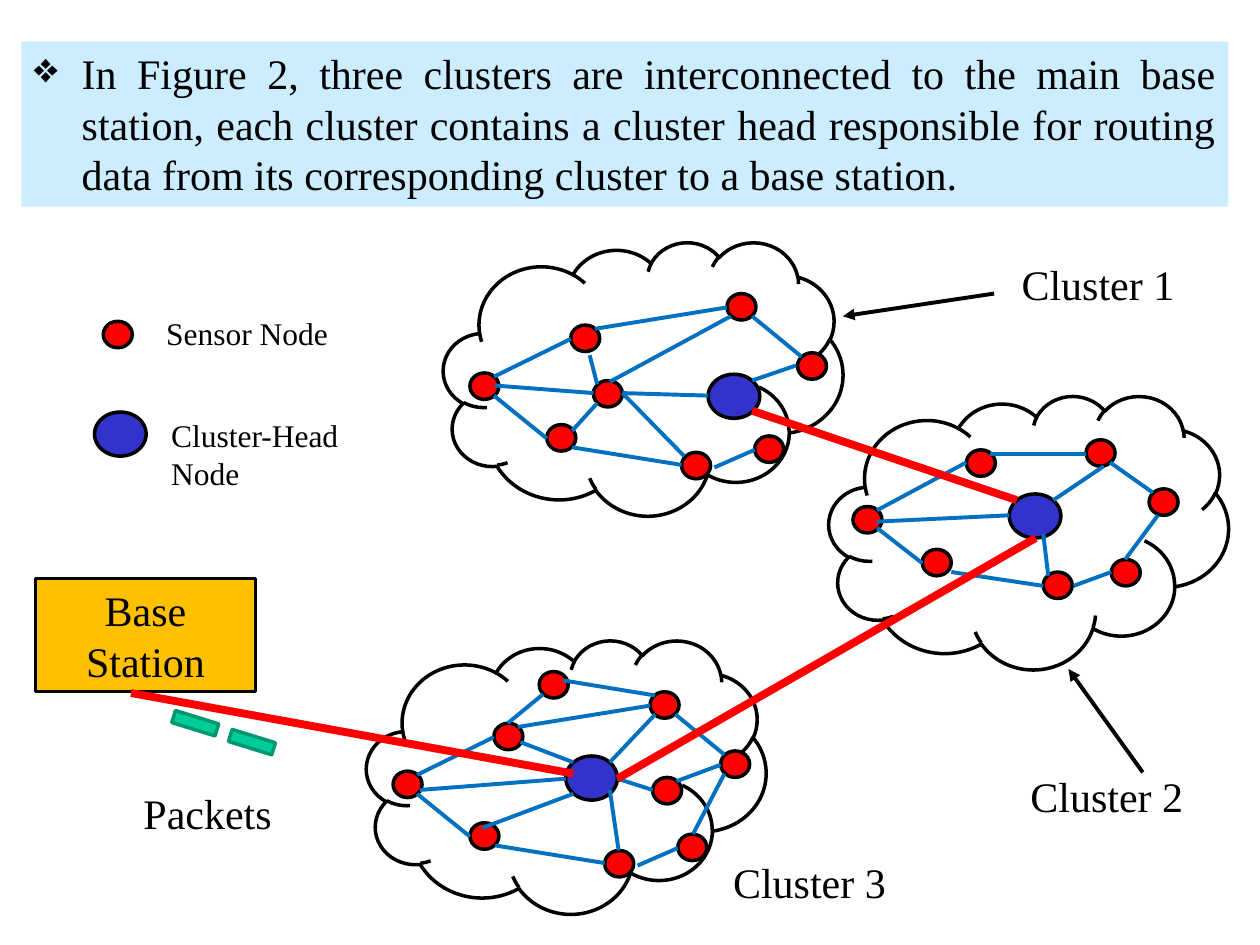
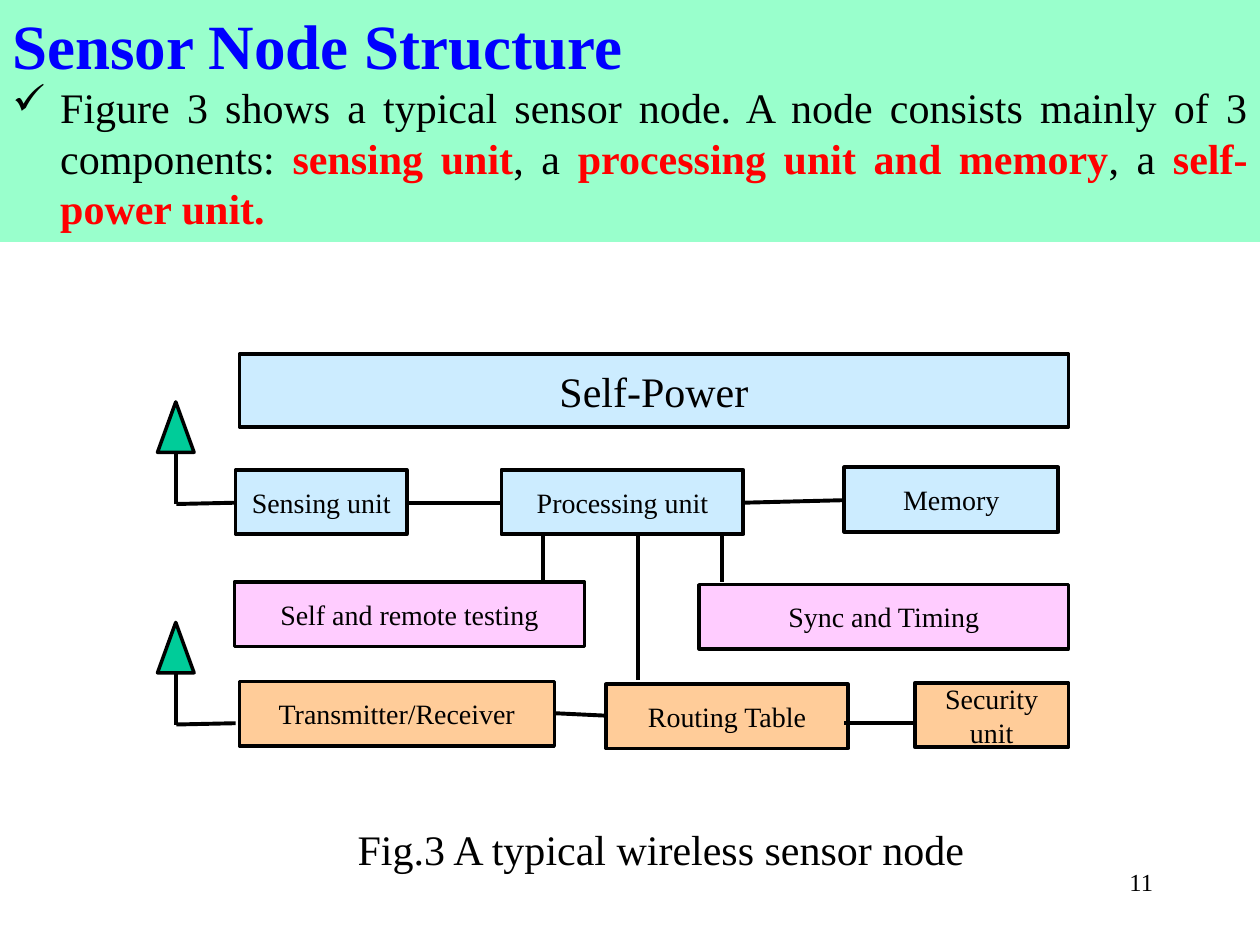
from dataclasses import dataclass
from typing import NamedTuple, Optional

from lxml.etree import SubElement
from pptx import Presentation
from pptx.dml.color import RGBColor
from pptx.enum.shapes import MSO_CONNECTOR, MSO_SHAPE as Preset
from pptx.enum.text import MSO_ANCHOR as Anchor, PP_ALIGN as Align
from pptx.oxml.ns import qn
from pptx.util import Inches, Pt

FONT = "Times New Roman"
BLACK = RGBColor(0x00, 0x00, 0x00)
RED = RGBColor(0xFF, 0x00, 0x00)
HEAD_BLUE = RGBColor(0x33, 0x33, 0xCC)
LINK_BLUE = RGBColor(0x00, 0x70, 0xC0)
TITLE_BLUE = RGBColor(0x00, 0x00, 0xFF)
PALE_BLUE = RGBColor(0xCC, 0xEC, 0xFF)
MINT = RGBColor(0x99, 0xFF, 0xCC)
GREEN = RGBColor(0x00, 0xCC, 0x99)
DARK_GREEN = RGBColor(0x00, 0x97, 0x71)
GOLD = RGBColor(0xFF, 0xC0, 0x00)
PINK = RGBColor(0xFF, 0xCC, 0xFF)
PEACH = RGBColor(0xFF, 0xCC, 0x99)

BODY_SIZE = 24
OUTLINE = 2
WIRE = 2.25
ROUTE = 4.5
BULLET_INDENT = 0.38
SENSOR_SIZE = (0.23, 0.21)
HEAD_SIZE = (0.41, 0.35)
CLOUD_SIZE = (3.17, 2.17)
BLOCK_HEIGHT = 0.51


class Box(NamedTuple):
    left: float
    top: float
    width: float
    height: float


class Link(NamedTuple):
    x1: float
    y1: float
    x2: float
    y2: float


class Span(NamedTuple):
    text: str
    size: float = BODY_SIZE
    color: RGBColor = BLACK
    bold: bool = False


class Para(NamedTuple):
    spans: tuple[Span, ...]
    align: Align = Align.LEFT
    bullet: str = ""


class Label(NamedTuple):
    text: str
    box: Box
    size: float = BODY_SIZE


class Block(NamedTuple):
    text: str
    left: float
    top: float
    width: float
    fill: RGBColor
    height: float = BLOCK_HEIGHT
    size: float = 16
    outline: float = OUTLINE


@dataclass
class Cluster:
    """Node corners and link ends are measured from the cloud's top left."""
    left: float
    top: float
    head: tuple[float, float]
    sensors: list[tuple[float, float]]
    links: list[Link]


# Shared drawing helpers
def write(shape, paras: list[Para], anchor: Anchor = Anchor.TOP, wrap: bool = True) -> None:
    frame = shape.text_frame
    frame.word_wrap = wrap
    frame.vertical_anchor = anchor
    for index, para in enumerate(paras):
        line = frame.add_paragraph() if index else frame.paragraphs[0]
        line.alignment = para.align
        if para.bullet:
            props = line._p.get_or_add_pPr()
            props.set("marL", str(Inches(BULLET_INDENT)))
            props.set("indent", str(-Inches(BULLET_INDENT)))
            SubElement(props, qn("a:buChar")).set("char", para.bullet)
        for span in para.spans:
            run = line.add_run()
            run.text = span.text
            run.font.name = FONT
            run.font.size = Pt(span.size)
            run.font.bold = span.bold
            run.font.color.rgb = span.color


def add_figure(slide, preset: Preset, box: Box, fill: Optional[RGBColor] = None,
               line: Optional[RGBColor] = BLACK, width: float = OUTLINE):
    shape = slide.shapes.add_shape(preset, *map(Inches, box))
    shape.shadow.inherit = False
    if fill is None:
        shape.fill.background()
    else:
        shape.fill.solid()
        shape.fill.fore_color.rgb = fill
    if line is None:
        shape.line.fill.background()
    else:
        shape.line.color.rgb = line
        shape.line.width = Pt(width)
    return shape


def add_link(slide, link: Link, color: RGBColor = BLACK, width: float = WIRE,
             arrow: bool = False) -> None:
    wire = slide.shapes.add_connector(MSO_CONNECTOR.STRAIGHT, *map(Inches, link))
    wire.line.color.rgb = color
    wire.line.width = Pt(width)
    if arrow:
        SubElement(wire.line._get_or_add_ln(), qn("a:tailEnd")).set("type", "triangle")
    SubElement(wire._element.spPr, qn("a:effectLst"))


def add_label(slide, label: Label, align: Align = Align.LEFT, wrap: bool = True) -> None:
    text_box = slide.shapes.add_textbox(*map(Inches, label.box))
    write(text_box, [Para((Span(label.text, label.size),), align)], wrap=wrap)


def add_band(slide, box: Box, fill: RGBColor, paras: list[Para]) -> None:
    write(add_figure(slide, Preset.RECTANGLE, box, fill, line=None), paras)


def add_block(slide, block: Block) -> None:
    box = Box(block.left, block.top, block.width, block.height)
    shape = add_figure(slide, Preset.RECTANGLE, box, block.fill, width=block.outline)
    write(shape, [Para((Span(block.text, block.size),), Align.CENTER)], Anchor.MIDDLE)


def add_sensor(slide, left: float, top: float) -> None:
    add_figure(slide, Preset.OVAL, Box(left, top, *SENSOR_SIZE), RED)


def add_head(slide, left: float, top: float) -> None:
    add_figure(slide, Preset.OVAL, Box(left, top, *HEAD_SIZE), HEAD_BLUE)


def add_cluster(slide, cluster: Cluster) -> None:
    x, y = cluster.left, cluster.top
    add_figure(slide, Preset.CLOUD, Box(x, y, *CLOUD_SIZE))
    for dx, dy in cluster.sensors:
        add_sensor(slide, x + dx, y + dy)
    add_head(slide, x + cluster.head[0], y + cluster.head[1])
    for link in cluster.links:
        add_link(slide, Link(x + link.x1, y + link.y1, x + link.x2, y + link.y2), LINK_BLUE)


# Sensors and links that clusters 1 and 3 have in common
RING_SENSORS = [(2.25, 0.41), (1.01, 0.66), (0.82, 1.45), (1.89, 1.67),
                (2.81, 0.88), (0.21, 1.04), (2.47, 1.54)]
RING_LINKS = [Link(1.2, 0.69, 2.25, 0.52), Link(0.4, 1.07, 1.01, 0.77),
              Link(0.4, 1.22, 0.82, 1.56), Link(1.02, 1.63, 1.89, 1.77),
              Link(2.45, 0.59, 2.84, 0.91), Link(2.15, 1.79, 2.47, 1.65)]

CLUSTER_1 = Cluster(
    3.52, 1.92, (2.1, 1.05), RING_SENSORS + [(1.19, 1.1)],
    RING_LINKS + [
        Link(1.42, 1.2, 1.91, 1.7), Link(2.8, 0.98, 2.45, 1.1),
        Link(1.42, 1.2, 2.1, 1.22), Link(1.32, 1.11, 2.28, 0.59),
        Link(0.41, 1.14, 1.19, 1.2), Link(1.02, 1.5, 1.22, 1.28),
        Link(1.22, 1.13, 1.16, 0.9)])
CLUSTER_2 = Cluster(
    6.58, 3.14, (1.43, 0.78),
    [(2.04, 0.35), (1.09, 0.43), (0.74, 1.22), (1.7, 1.4),
     (2.54, 0.74), (0.19, 0.88), (2.24, 1.3)],
    [Link(1.28, 0.46, 2.04, 0.46), Link(0.38, 0.91, 1.09, 0.53),
     Link(0.38, 1.05, 0.74, 1.33), Link(0.97, 1.4, 1.7, 1.51),
     Link(1.7, 1.1, 1.74, 1.43), Link(2.18, 0.56, 1.78, 0.83),
     Link(2.23, 0.53, 2.57, 0.77), Link(1.94, 1.51, 2.24, 1.4),
     Link(2.35, 1.3, 2.61, 0.95), Link(0.38, 1, 1.43, 0.95)])
CLUSTER_3 = Cluster(
    2.91, 5.08, (1.58, 0.92), RING_SENSORS + [(1.37, 0.25), (2.27, 1.09)],
    RING_LINKS + [
        Link(1.93, 1.19, 2, 1.67), Link(2.29, 0.59, 1.93, 0.97),
        Link(2.59, 1.54, 2.84, 1.06), Link(0.42, 1.19, 1.58, 1.1),
        Link(0.92, 1.49, 1.64, 1.22), Link(1.99, 1.1, 2.27, 1.19),
        Link(2.46, 1.12, 2.81, 0.99), Link(1.56, 0.32, 2.29, 0.44),
        Link(1.4, 0.43, 1.12, 0.66), Link(1.22, 0.81, 1.64, 0.97)])

ROUTES = [Link(5.97, 3.26, 8.07, 3.97), Link(4.9, 6.18, 8.22, 4.27),
          Link(1.04, 5.5, 4.55, 6.14)]
POINTERS = [Link(7.89, 2.33, 6.69, 2.51), Link(9.07, 6.13, 8.48, 5.31)]
NETWORK_LABELS = [
    Label("Packets", Box(1.04, 6.2, 1.29, 0.5)),
    Label("Cluster 1", Box(8.01, 2, 1.74, 0.5)),
    Label("Cluster 2", Box(8.08, 6.07, 1.42, 0.5)),
    Label("Cluster 3", Box(5.72, 6.75, 1.6, 0.5)),
    Label("Sensor Node", Box(1.22, 2.44, 1.64, 0.4), 18),
    Label("Cluster-Head Node", Box(1.26, 3.25, 1.64, 0.71), 18),
]

NODE_BLOCKS = [
    Block("Self-Power", 1.9, 2.81, 6.58, PALE_BLUE, height=0.58, size=BODY_SIZE),
    Block("Sensing unit", 1.87, 3.73, 1.36, PALE_BLUE),
    Block("Processing unit", 3.98, 3.73, 1.92, PALE_BLUE, outline=WIRE),
    Block("Memory", 6.7, 3.71, 1.7, PALE_BLUE, outline=WIRE),
    Block("Self and remote testing", 1.86, 4.62, 2.78, PINK),
    Block("Sync and Timing", 5.55, 4.64, 2.93, PINK),
    Block("Transmitter/Receiver", 1.9, 5.41, 2.5, PEACH),
    Block("Routing Table", 4.81, 5.43, 1.92, PEACH),
    Block("Security unit", 7.26, 5.42, 1.22, PEACH),
]
NODE_WIRES = [
    Link(3.23, 3.99, 3.98, 3.99), Link(5.9, 3.99, 6.7, 3.97),
    Link(4.31, 4.25, 4.31, 4.62), Link(5.73, 4.25, 5.73, 4.62),
    Link(5.06, 4.25, 5.06, 5.4), Link(4.39, 5.66, 4.81, 5.68),
    Link(6.7, 5.74, 7.26, 5.74),
]
ANTENNA_TOPS = (3.19, 4.94)


def build_network(slide) -> None:
    add_band(slide, Box(0.17, 0.33, 9.58, 1.31), PALE_BLUE, [Para((Span(
        "In Figure 2, three clusters are interconnected to the main base station, "
        "each cluster contains a cluster head responsible for routing data from "
        "its corresponding cluster to a base station."),), Align.JUSTIFY, "❖")])
    for cluster in (CLUSTER_2, CLUSTER_3, CLUSTER_1):
        add_cluster(slide, cluster)
    # Base station, routes and packets
    add_block(slide, Block("Base Station", 0.28, 4.59, 1.75, GOLD, height=0.9, size=BODY_SIZE))
    for route in ROUTES:
        add_link(slide, route, RED, ROUTE)
    for left, top in ((1.37, 5.69), (1.82, 5.84)):
        packet = add_figure(slide, Preset.RECTANGLE, Box(left, top, 0.36, 0.1), GREEN, DARK_GREEN)
        packet.rotation = 17.2
    # Legend and labels
    add_sensor(slide, 0.82, 2.55)
    add_head(slide, 0.75, 3.27)
    for pointer in POINTERS:
        add_link(slide, pointer, arrow=True)
    for label in NETWORK_LABELS:
        add_label(slide, label)


def build_node_structure(slide) -> None:
    add_band(slide, Box(0, 0, 10, 1.92), MINT, [
        Para((Span("Sensor Node Structure", 36, TITLE_BLUE, True),), Align.JUSTIFY),
        Para((Span("Figure 3 shows a typical sensor node. A node consists mainly "
                   "of 3 components: "),
              Span("sensing unit", color=RED, bold=True), Span(", a "),
              Span("processing unit and memory", color=RED, bold=True), Span(", a "),
              Span("self-power unit.", color=RED, bold=True)), Align.JUSTIFY, "✓")])
    for block in NODE_BLOCKS:
        add_block(slide, block)
    # Antennas: triangle, mast and feed line
    for top in ANTENNA_TOPS:
        add_link(slide, Link(1.87, top + 0.8, 1.4, top + 0.81))
        add_link(slide, Link(1.4, top + 0.81, 1.4, top + 0.41))
        add_figure(slide, Preset.ISOSCELES_TRIANGLE, Box(1.25, top, 0.29, 0.4), GREEN)
    for wire in NODE_WIRES:
        add_link(slide, wire)
    # Caption and page number
    add_label(slide, Label("Fig.3 A typical wireless sensor node",
                           Box(2.74, 6.49, 5.06, 0.51)), wrap=False)
    add_label(slide, Label("11", Box(7.17, 6.83, 2.08, 0.5), 14), Align.RIGHT)


def main() -> None:
    deck = Presentation()
    deck.slide_width, deck.slide_height = Inches(10), Inches(7.5)
    for build in (build_network, build_node_structure):
        build(deck.slides.add_slide(deck.slide_layouts[6]))
    deck.save("out.pptx")


if __name__ == "__main__":
    main()
